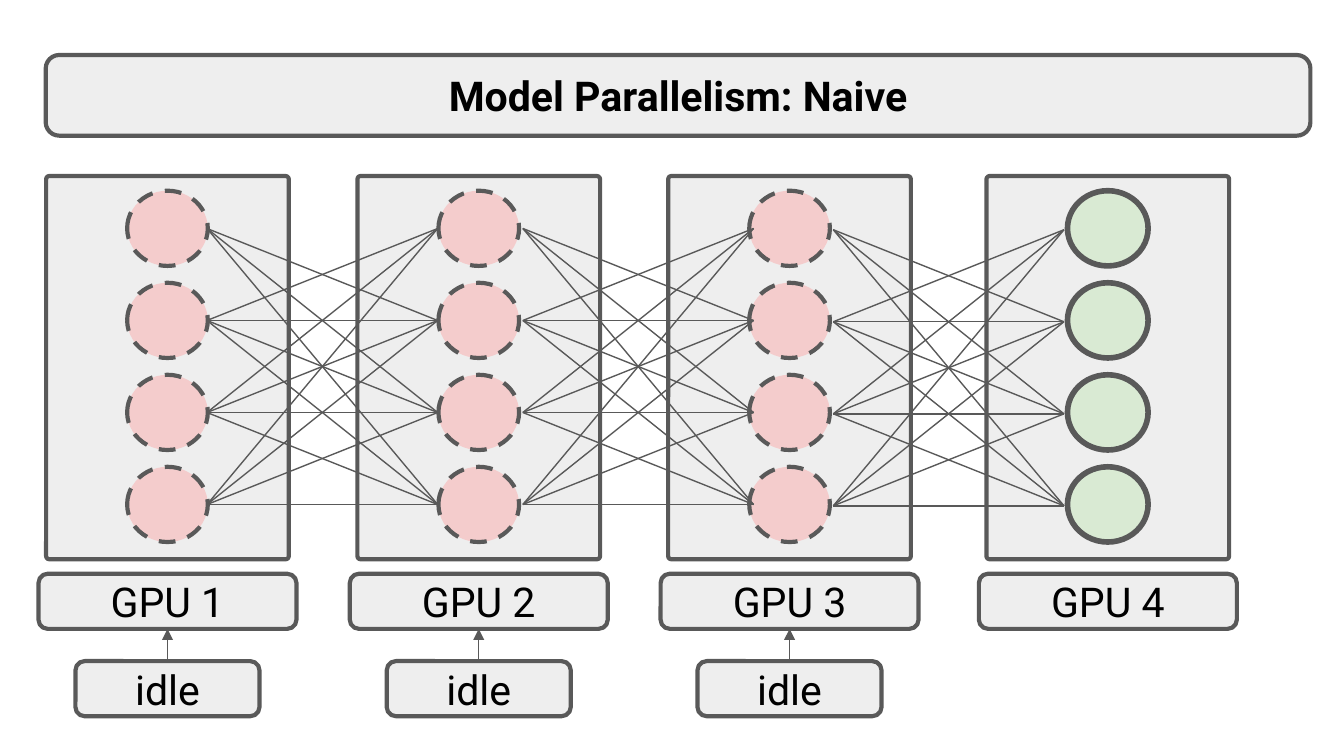
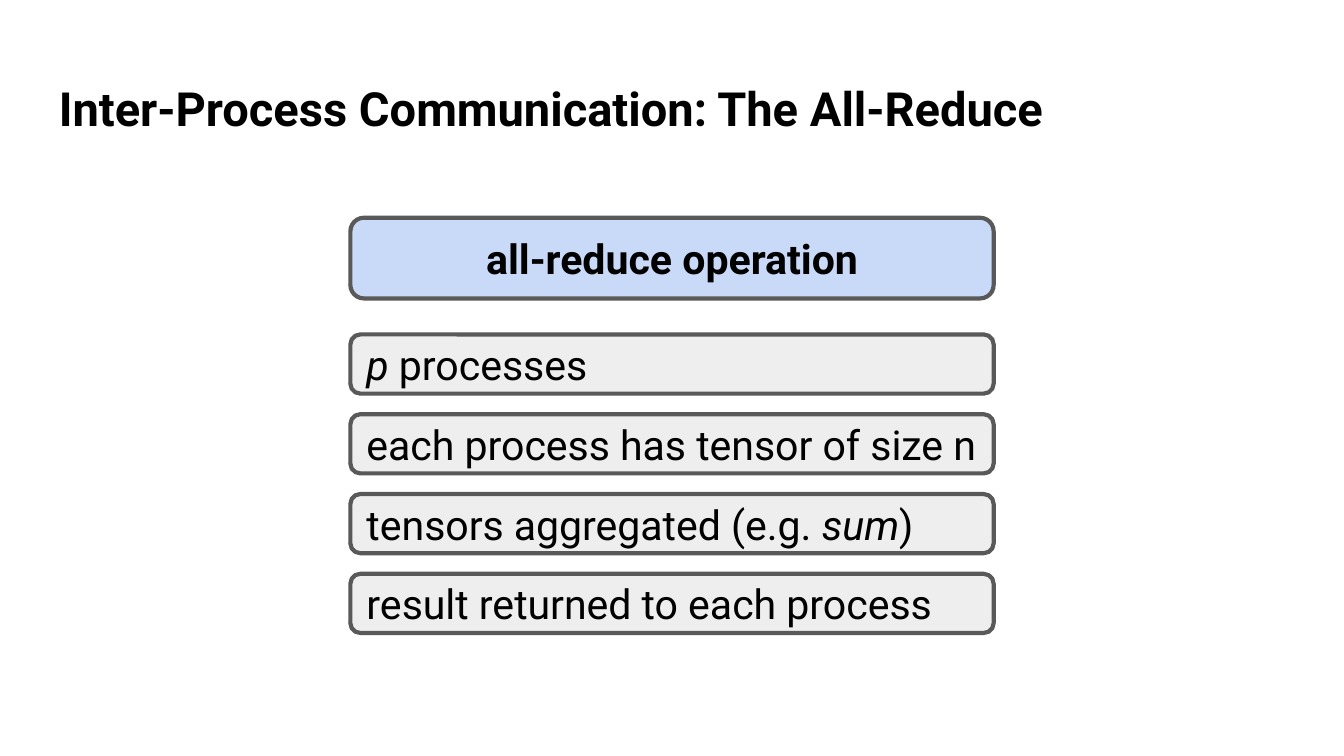
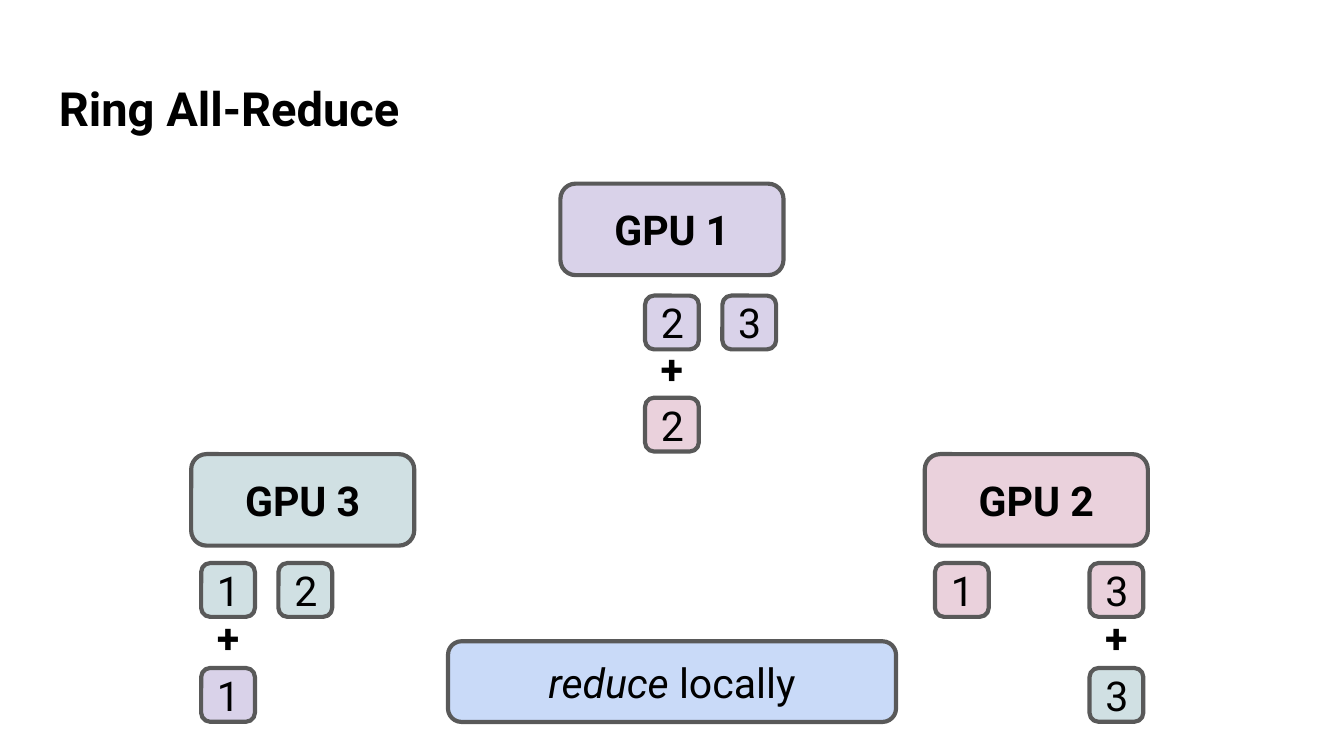
from itertools import pairwise, product

from lxml.etree import SubElement
from pptx import Presentation
from pptx.dml.color import RGBColor
from pptx.enum.dml import MSO_LINE
from pptx.enum.shapes import MSO_CONNECTOR, MSO_SHAPE
from pptx.enum.text import MSO_ANCHOR, PP_ALIGN
from pptx.oxml.ns import qn
from pptx.util import Pt

COLORS = {
    "text": "000000",
    "outline": "595959",
    "panel": "EEEEEE",
    "idle": "F4CCCC",
    "active": "D9EAD3",
    "blue": "C9DAF8",
    "purple": "D9D2E9",
    "pink": "EAD1DC",
    "teal": "D0E0E3",
}
FONT = "Roboto"
BODY_SIZE, TITLE_SIZE = 22, 25.2
OUTLINE_WIDTH, WIRE_WIDTH = 2.25, 0.75
INSET = 7.2
TITLE_AREA = (24.5, 35.3, 671, 45.4)

# Model parallelism: one column per GPU, text between asterisks is italic
NAIVE_TITLE = "Model Parallelism: Naive"
COLUMNS = [
    {"label": "GPU 1", "center": 89.75, "idle": True},
    {"label": "GPU 2", "center": 256.5, "idle": True},
    {"label": "GPU 3", "center": 423, "idle": True},
    {"label": "GPU 4", "center": 593.5, "idle": False},
]
NEURONS, NEURON_TOP, NEURON_PITCH = 4, 102.2, 49.3
NEURON_WIDTH, NEURON_HEIGHT = 43.2, 40.3
WIRE_GAPS = [(110.9, 122.4), (280.1, 122.4), (446.4, 123.1)]  # left end, first row
WIRE_SPAN = 123.6
LABEL_TOP, LABEL_HEIGHT, IDLE_TOP = 307.4, 29.5, 354.2

# All-reduce
REDUCE_TITLE = "Inter-Process Communication: The All-Reduce"
OPERATION = "all-reduce operation"
STEPS = [
    "*p* processes",
    "each process has tensor of size n",
    "tensors aggregated (e.g. *sum*)",
    "result returned to each process",
]
STEP_LEFT, STEP_WIDTH, STEP_TOP, STEP_PITCH = 187.7, 344.6, 179.2, 42.75

# Ring all-reduce: chips are numbered 1 to 3 from left to right
RING_TITLE = "Ring All-Reduce"
RING_CAPTION = "*reduce* locally"
GPUS = [
    {"label": "GPU 1", "color": "purple", "center": 360, "top": 98.4, "chips": [2, 3],
     "chip_middle": 360, "chip_top": 158.4, "received": (2, "pink", 213.1)},
    {"label": "GPU 2", "color": "pink", "center": 555.2, "top": 243.3, "chips": [1, 3],
     "chip_middle": 556.7, "chip_top": 301.7, "received": (3, "teal", 357.9)},
    {"label": "GPU 3", "color": "teal", "center": 162.2, "top": 243.3, "chips": [1, 2],
     "chip_middle": 163.6, "chip_top": 301.7, "received": (1, "purple", 357.9)},
]
GPU_WIDTH, GPU_HEIGHT = 119.5, 49
CHIP, CHIP_PITCH, PLUS, PLUS_RISE = 28.8, 41.4, 43.2, 3


def color(name):
    return RGBColor.from_string(COLORS[name])


def write(shape, text, size=BODY_SIZE, bold=False, align=PP_ALIGN.CENTER,
          anchor=MSO_ANCHOR.MIDDLE):
    """Fill a shape with one paragraph; parts between asterisks are italic."""
    frame = shape.text_frame
    margins = {f"margin_{side}": Pt(INSET) for side in ("left", "top", "right", "bottom")}
    for name, value in {"word_wrap": True, "vertical_anchor": anchor, **margins}.items():
        setattr(frame, name, value)
    paragraph = frame.paragraphs[0]
    paragraph.alignment = align
    for index, part in enumerate(text.split("*")):
        if not part:
            continue
        run = paragraph.add_run()
        run.text = part
        style = {"name": FONT, "size": Pt(size), "bold": bold, "italic": index % 2 == 1}
        for name, value in style.items():
            setattr(run.font, name, value)
        run.font.color.rgb = color("text")


def add_box(slide, left, top, width, height, fill=None, text="", kind=MSO_SHAPE.ROUNDED_RECTANGLE,
            radius=0.167, line_width=OUTLINE_WIDTH, dash=None, **text_style):
    """Add an outlined shape; without a fill it carries text only."""
    shape = slide.shapes.add_shape(kind, Pt(left), Pt(top), Pt(width), Pt(height))
    shape.shadow.inherit = False
    if kind == MSO_SHAPE.ROUNDED_RECTANGLE:
        shape.adjustments[0] = radius
    if fill:
        shape.fill.solid()
        shape.fill.fore_color.rgb = color(fill)
        shape.line.color.rgb = color("outline")
        shape.line.width = Pt(line_width)
        shape.line.dash_style = dash
    else:
        shape.fill.background()
        shape.line.fill.background()
    if text:
        write(shape, text, **text_style)


def add_centered(slide, center, top, width, height, *args, **kwargs):
    add_box(slide, center - width / 2, top, width, height, *args, **kwargs)


def add_wire(slide, start, end, arrow=False):
    wire = slide.shapes.add_connector(MSO_CONNECTOR.STRAIGHT, *map(Pt, (*start, *end)))
    wire.line.color.rgb = color("outline")
    wire.line.width = Pt(WIRE_WIDTH)
    properties = wire.line._get_or_add_ln()
    if arrow:
        SubElement(properties, qn("a:tailEnd"), type="triangle")
    SubElement(properties.getparent(), qn("a:effectLst"))


def add_title(slide, text):
    title = slide.shapes.add_textbox(*map(Pt, TITLE_AREA))
    write(title, text, TITLE_SIZE, True, PP_ALIGN.LEFT, MSO_ANCHOR.TOP)


def build_naive(slide):
    add_box(slide, 24.5, 29.5, 677.5, 43.2, "panel", NAIVE_TITLE, bold=True)
    for column in COLUMNS:
        center = column["center"]
        add_centered(slide, center, 94.3, 130, 205.3, "panel", radius=0.013)
        add_centered(slide, center, LABEL_TOP, 138.2, LABEL_HEIGHT, "panel", column["label"])
        if column["idle"]:
            neuron = {"fill": "idle", "dash": MSO_LINE.DASH}
            add_centered(slide, center, IDLE_TOP, 98.6, LABEL_HEIGHT, "panel", "idle")
            add_wire(slide, (center, IDLE_TOP), (center, LABEL_TOP + LABEL_HEIGHT), arrow=True)
        else:
            neuron = {"fill": "active", "line_width": 3}
        for row in range(NEURONS):
            add_centered(slide, center, NEURON_TOP + row * NEURON_PITCH, NEURON_WIDTH,
                         NEURON_HEIGHT, kind=MSO_SHAPE.OVAL, **neuron)
    for left, top in WIRE_GAPS:
        for source, target in product(range(NEURONS), repeat=2):
            if source or target:  # the two top neurons are not joined
                add_wire(slide, (left, top + source * NEURON_PITCH),
                         (left + WIRE_SPAN, top + target * NEURON_PITCH))


def build_all_reduce(slide):
    add_title(slide, REDUCE_TITLE)
    add_box(slide, STEP_LEFT, 116.7, STEP_WIDTH, 43.2, "blue", OPERATION, bold=True)
    for index, step in enumerate(STEPS):
        add_box(slide, STEP_LEFT, STEP_TOP + index * STEP_PITCH, STEP_WIDTH, 31.7, "panel", step,
                align=PP_ALIGN.LEFT)


def build_ring(slide):
    add_title(slide, RING_TITLE)
    for gpu in GPUS:
        add_centered(slide, gpu["center"], gpu["top"], GPU_WIDTH, GPU_HEIGHT, gpu["color"],
                     gpu["label"], bold=True)
        number, sender_color, received_top = gpu["received"]
        chips = [(chip, gpu["color"], gpu["chip_top"]) for chip in gpu["chips"]]
        for chip, fill, top in [*chips, (number, sender_color, received_top)]:
            center = gpu["chip_middle"] + (chip - 2) * CHIP_PITCH
            add_centered(slide, center, top, CHIP, CHIP, fill, str(chip))
        plus_center = gpu["chip_middle"] + (number - 2) * CHIP_PITCH
        plus_top = (gpu["chip_top"] + received_top + CHIP - PLUS) / 2 - PLUS_RISE
        add_centered(slide, plus_center, plus_top, PLUS, PLUS, text="+", bold=True)
    add_centered(slide, 360, 343.6, 240, 43.2, "blue", RING_CAPTION)


def main():
    presentation = Presentation()
    presentation.slide_width, presentation.slide_height = Pt(720), Pt(405)
    blank = presentation.slide_layouts[6]
    for build in (build_naive, build_all_reduce, build_ring):
        build(presentation.slides.add_slide(blank))
    presentation.save("out.pptx")


if __name__ == "__main__":
    main()
